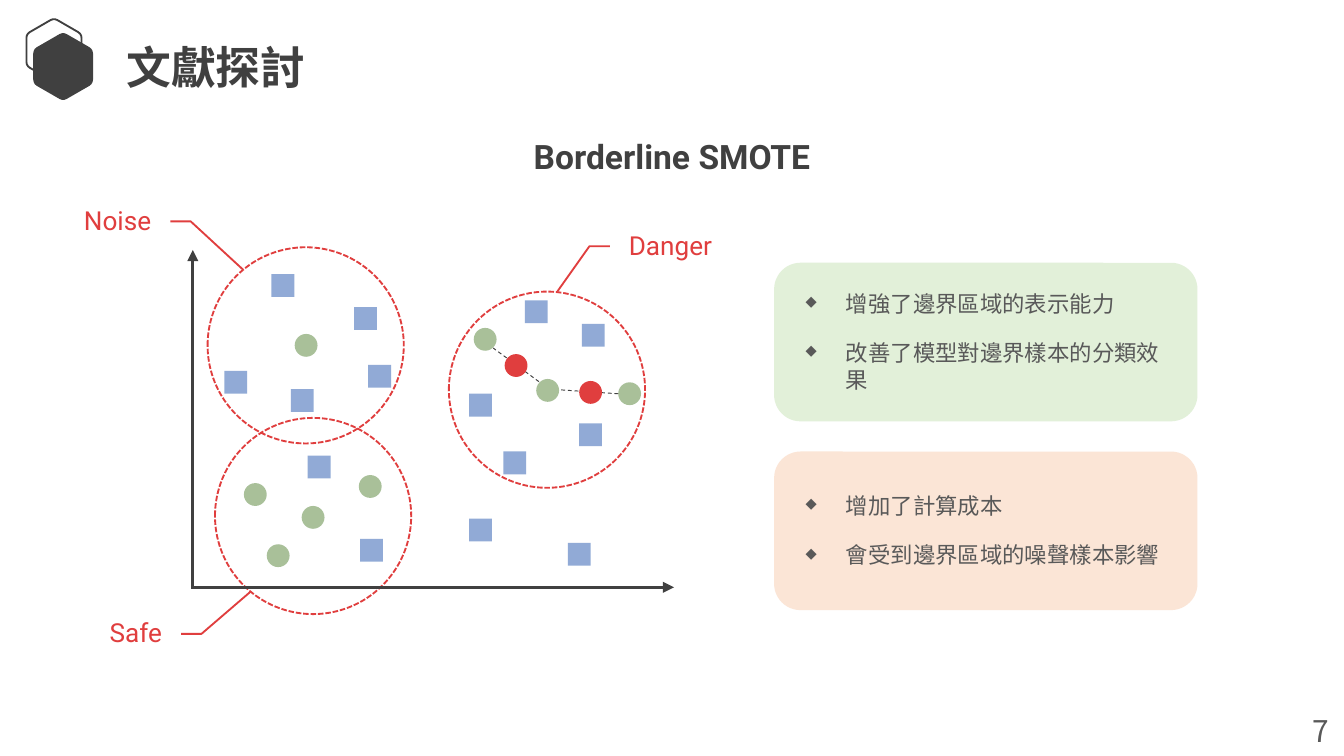
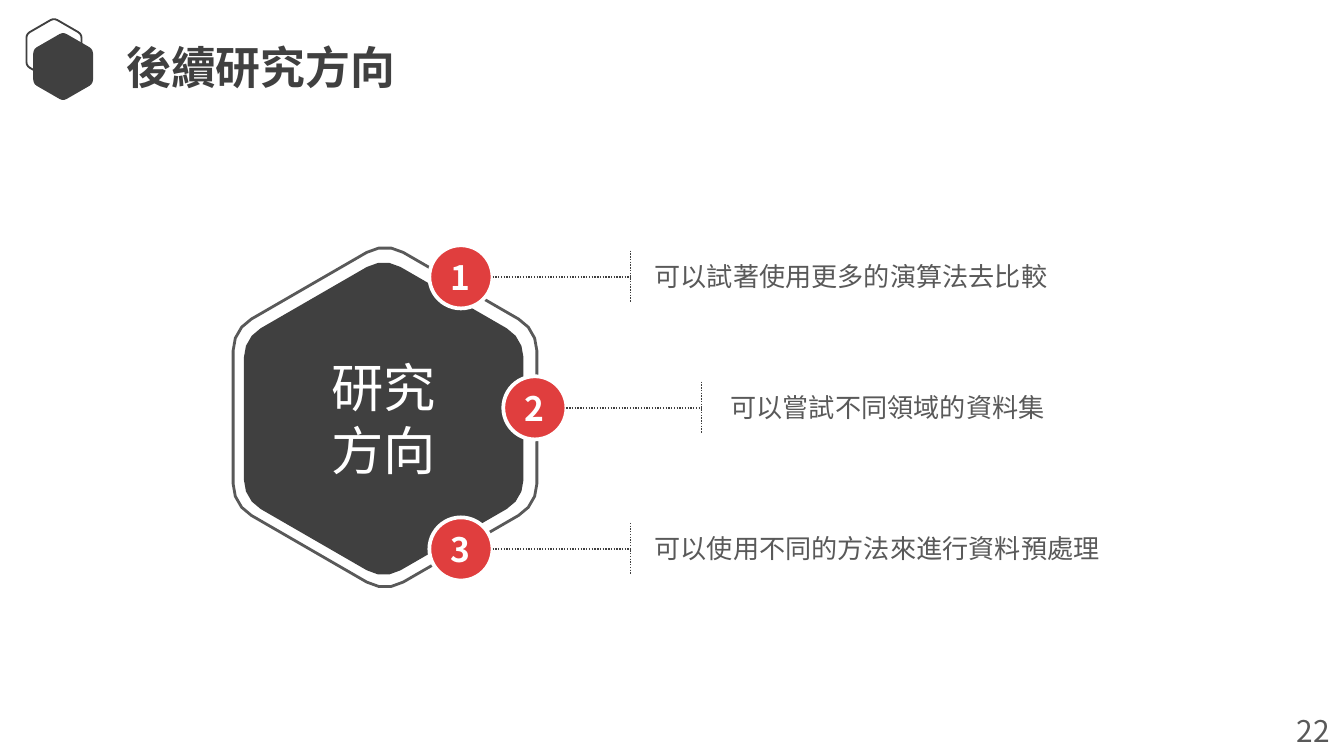
import math
from dataclasses import dataclass
from lxml import etree
from pptx import Presentation, util as u
from pptx.dml.color import RGBColor
from pptx.enum import dml, shapes, text
from pptx.oxml import ns

COLS, ROWS = 100, 56.25  # grid over the whole slide


@dataclass(frozen=True)
class Theme:
    dark: str = "404040"
    gray: str = "595959"
    red: str = "E03E3E"
    white: str = "FFFFFF"
    green: str = "548235"
    blue: str = "3865B6"
    mint: str = "E2F0D9"
    peach: str = "FBE5D6"
    cjk: str = "Noto Sans CJK JP"
    latin: str = "Roboto"
    title: int = 24
    big: int = 28
    head: int = 18
    page: int = 16
    body: int = 14
    note: int = 12


T = Theme()
KIND = shapes.MSO_SHAPE
DASH = dml.MSO_LINE
SIDE = text.PP_ALIGN


def sub(node, tag, **attrs):
    return etree.SubElement(node, ns.qn(tag), attrs)


def write(shape, lines, size=T.body, font=T.cjk, color=T.gray, bold=False, align=SIDE.LEFT,
          mid=False, inset=(0.1, 0.05), wrap=True, fit=False, bullet=None):
    """Fill a shape with paragraphs in one format."""
    frame = shape.text_frame
    frame.word_wrap = wrap
    frame.auto_size = text.MSO_AUTO_SIZE.SHAPE_TO_FIT_TEXT if fit else text.MSO_AUTO_SIZE.NONE
    frame.vertical_anchor = text.MSO_ANCHOR.MIDDLE if mid else text.MSO_ANCHOR.TOP
    frame.margin_left = frame.margin_right = u.Inches(inset[0])
    frame.margin_top = frame.margin_bottom = u.Inches(inset[1])
    for i, line in enumerate([lines] if isinstance(lines, str) else lines):
        par = frame.paragraphs[0] if i == 0 else frame.add_paragraph()
        par.text = line
        par.alignment = align
        for run in par.runs:
            run.font.size, run.font.bold, run.font.name = u.Pt(size), bold, font
            run.font.color.rgb = RGBColor.from_string(color)
            sub(run.font._element, "a:ea", typeface=T.cjk)
        if bullet:
            par.space_before = par.space_after = u.Pt(6)
            props = par._p.get_or_add_pPr()
            props.set("marL", str(u.Inches(0.3)))
            props.set("indent", str(-u.Inches(0.3)))
            sub(props, "a:buSzPct", val="65000")
            sub(props, "a:buChar", char=bullet)


class Deck:
    """Holds the presentation, its grid and the current slide."""

    def __init__(self):
        self.prs = Presentation()
        self.prs.slide_width, self.prs.slide_height = u.Inches(10), u.Inches(5.625)
        self.slide = None

    def x(self, col):
        return round(self.prs.slide_width * col / COLS)

    def y(self, row):
        return round(self.prs.slide_height * row / ROWS)

    def box(self, left, top, wide, high):
        return self.x(left), self.y(top), self.x(wide), self.y(high)

    def paint(self, shape, fill=None, line=None, width=1, dash=None, alpha=None):
        shape.shadow.inherit = False
        if fill:
            shape.fill.solid()
            shape.fill.fore_color.rgb = RGBColor.from_string(fill)
            if alpha:
                tint = shape._element.spPr.find(ns.qn("a:solidFill"))[0]
                sub(tint, "a:alpha", val=str(alpha * 1000))
        else:
            shape.fill.background()
        if line:
            self.pen(shape.line, line, width, dash)
        else:
            shape.line.fill.background()
        return shape

    def pen(self, line, color, width, dash=None):
        line.color.rgb = RGBColor.from_string(color)
        line.width = u.Pt(width)
        if dash:
            line.dash_style = dash

    def shape(self, kind, area, **style):
        return self.paint(self.slide.shapes.add_shape(kind, *self.box(*area)), **style)

    def label(self, area, words, **form):
        write(self.slide.shapes.add_textbox(*self.box(*area)), words, fit=True, **form)

    def line(self, start, end, width, dash=None, arrow=False):
        ends = self.x(start[0]), self.y(start[1]), self.x(end[0]), self.y(end[1])
        link = self.slide.shapes.add_connector(shapes.MSO_CONNECTOR.STRAIGHT, *ends)
        self.pen(link.line, T.dark, width, dash)
        if arrow:
            sub(link.line._get_or_add_ln(), "a:tailEnd", type="triangle")
        sub(link._element.spPr, "a:effectLst")

    def hexagon(self, mid, wide, **style):
        """Upright hexagon whose corners are arcs."""
        edge = wide / math.sqrt(3)
        cut = 0.12 * edge
        far, rad = edge - 2 * cut, cut * math.sqrt(3)
        dots = []
        for turn in range(30, 390, 60):
            for step in (-30, -10, 10, 30):
                hub, arc = math.radians(turn), math.radians(turn + step)
                dots.append((self.x(mid[0] + far * math.cos(hub) + rad * math.cos(arc)),
                             self.y(mid[1] + far * math.sin(hub) + rad * math.sin(arc))))
        pen = self.slide.shapes.build_freeform(*dots[0], scale=1.0)
        pen.add_line_segments(dots[1:], close=True)
        return self.paint(pen.convert_to_shape(), **style)

    def callout(self, area, word, bend, flip=False):
        """Label with a bent leader; bend is the far end as (row, column) shares."""
        note = self.shape(KIND.LINE_CALLOUT_2_NO_BORDER, area, line=T.red)
        for i, val in enumerate((0.53, -0.04, 0.53, -0.18, *bend)):
            note.adjustments[i] = val
        if flip:
            note._element.spPr.xfrm.set("flipH", "1")
        write(note, word, font=T.latin, color=T.red, mid=True,
              align=SIDE.RIGHT if flip else SIDE.LEFT)

    def marks(self, kind, spots, fill, alpha=None):
        for left, top in spots:
            self.shape(kind, (left, top, 1.7, 1.7), fill=fill, alpha=alpha)

    def zone(self, ring, area, word, bend, flip=False):
        """Dashed ring with its callout."""
        self.shape(KIND.OVAL, (*ring, 14.6, 14.6), line=T.red, dash=DASH.SQUARE_DOT)
        self.callout(area, word, bend, flip)

    def card(self, top, fill, points):
        self.shape(KIND.ROUNDED_RECTANGLE, (57.6, top, 31.5, 11.8), fill=fill)
        body = self.shape(KIND.ROUNDED_RECTANGLE, (58.6, top + 2.15, 29.5, 7.4))
        write(body, points, size=T.note, mid=True, bullet="◆")

    def step(self, num, left, mid, reach, start, words):
        """Numbered disc, dotted bracket and its sentence."""
        disc = self.shape(KIND.OVAL, (left, mid - 2.35, 4.7, 4.7), fill=T.red,
                          line=T.white, width=2)
        write(disc, str(num), size=T.head, color=T.white, bold=True, mid=True,
              align=SIDE.CENTER, inset=(0.07, 0.04))
        self.line((left + 4.7, mid), (reach, mid), 0.75, DASH.ROUND_DOT)
        self.line((reach, mid - 1.95), (reach, mid + 1.9), 0.75, DASH.ROUND_DOT)
        self.label((start, mid - 1.2, 88.2 - start, 2.4), words,
                   align=SIDE.JUSTIFY, inset=(0, 0))

    def page(self, title, wide, num, left, room):
        """New slide with the shared emblem, title and page number."""
        self.slide = self.prs.slides.add_slide(self.prs.slide_layouts[6])
        self.hexagon((4.02, 3.72), 4.1, line=T.dark)
        self.hexagon((4.7, 4.95), 4.45, fill=T.dark)
        self.label((8.7, 2.55, wide, 4.8), title, size=T.title, color=T.dark, bold=True,
                   inset=(0.07, 0.04))
        self.label((left, 52.55, room, 3.7), str(num), size=T.page, wrap=False)


def smote(deck):
    deck.page("文獻探討", 17.7, 7, 96.7, 3.1)
    deck.label((20.65, 9.6, 58.7, 4), "Borderline SMOTE", size=T.head, font=T.latin,
               color=T.dark, bold=True, mid=True, align=SIDE.CENTER)

    # Noise and safe zones
    deck.marks(KIND.OVAL, [(39.9, 28.2), (21.93, 24.85), (22.45, 37.65)], T.green, 50)
    deck.zone((15.45, 18.4), (1.45, 14.4, 10.8, 3.9), "Noise", (1.45, -0.54), flip=True)
    deck.zone((16, 31.1), (2.25, 45.1, 10.8, 3.9), "Safe", (-0.28, -0.52), flip=True)

    # Axes
    deck.line((14.3, 43.7), (50.15, 43.7), 1.5, arrow=True)
    deck.line((14.35, 43.8), (14.35, 18.6), 1.5, arrow=True)

    # Samples of both classes
    deck.marks(KIND.RECTANGLE, [(26.8, 40.1), (16.7, 27.6), (21.65, 28.95), (43.1, 31.5),
                                (34.9, 38.6), (43.3, 24.1), (26.35, 22.85), (34.9, 29.3),
                                (37.45, 33.6), (22.9, 33.9), (39.05, 22.35), (27.4, 27.15),
                                (20.2, 20.4), (42.25, 40.4)], T.blue, 55)
    deck.marks(KIND.OVAL, [(46, 28.45), (19.85, 40.5), (18.15, 35.95), (35.25, 24.4),
                           (26.7, 35.35)], T.green, 50)

    # Danger zone with new samples between neighbours
    deck.zone((33.4, 21.7), (45.8, 16.25, 10.8, 3.9), "Danger", (1.39, -0.4))
    deck.line((40.1, 28.4), (36.7, 25.9), 0.5, DASH.DASH)
    deck.line((46, 29.3), (41.6, 29), 0.5, DASH.DASH)
    deck.marks(KIND.OVAL, [(37.55, 26.35), (43.1, 28.35)], T.red)

    # Gains and costs
    deck.card(19.55, T.mint, ["增強了邊界區域的表示能力", "改善了模型對邊界樣本的分類效果"])
    deck.card(33.6, T.peach, ["增加了計算成本", "會受到邊界區域的噪聲樣本影響"])


def future(deck):
    deck.page("後續研究方向", 23.2, 22, 95.5, 4.7)

    # Hub
    deck.hexagon((28.55, 31.15), 20.8, fill=T.dark)
    deck.label((22.8, 26.45, 11.5, 9.4), "研究\v方向", size=T.big, color=T.white,
               align=SIDE.CENTER, inset=(0, 0))
    deck.hexagon((28.65, 31.05), 22.6, line=T.gray, width=1.5)

    # Directions
    steps = [(31.95, 20.6, 46.9, 48.7, "可以試著使用更多的演算法去比較"),
             (37.45, 30.35, 52.2, 54.35, "可以嘗試不同領域的資料集"),
             (31.95, 40.85, 46.9, 48.7, "可以使用不同的方法來進行資料預處理")]
    for num, item in enumerate(steps, 1):
        deck.step(num, *item)


def main():
    deck = Deck()
    smote(deck)
    future(deck)
    deck.prs.save("out.pptx")


if __name__ == "__main__":
    main()
